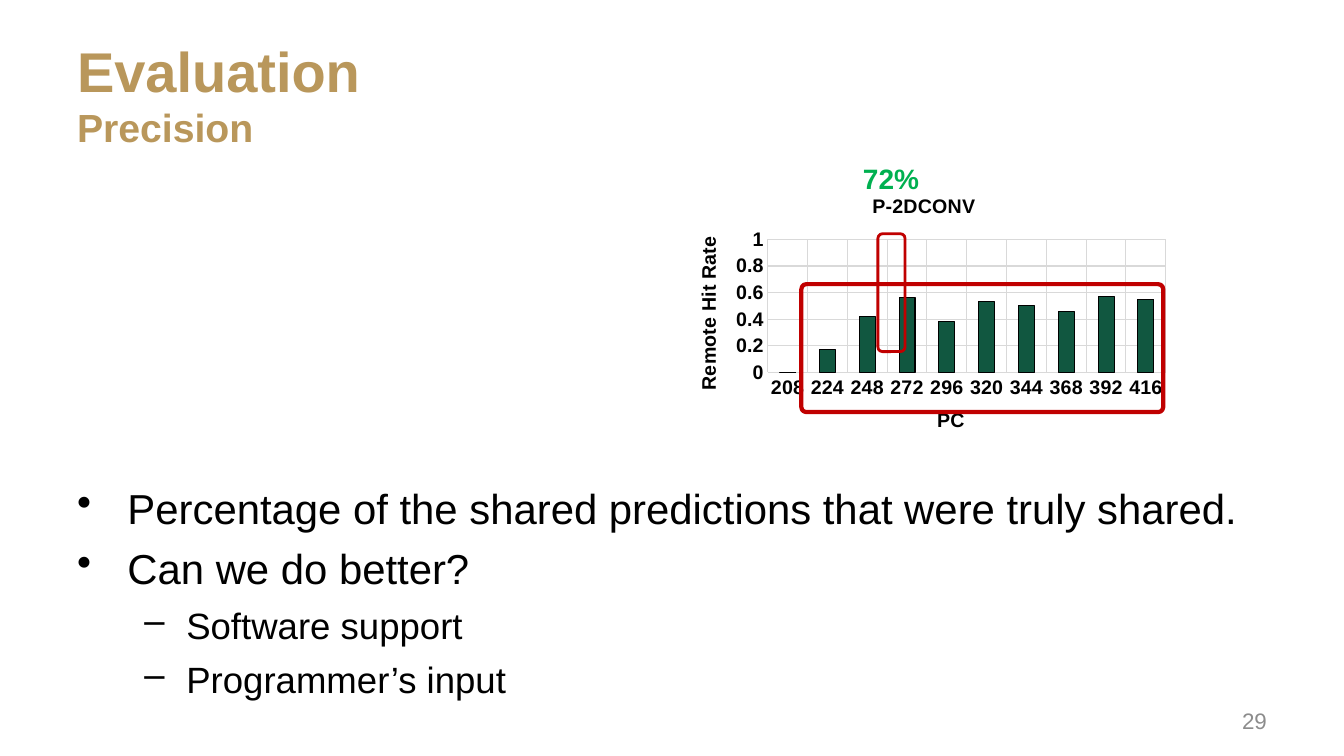
import pptx
import pptx.chart.data
import pptx.dml.color
import pptx.enum.chart
import pptx.enum.shapes
import pptx.enum.text
import pptx.oxml
import pptx.oxml.ns
import pptx.util

Pt = pptx.util.Pt
ALIGN = pptx.enum.text.PP_ALIGN
ANCHOR = pptx.enum.text.MSO_ANCHOR

FONT = "Arial"
COLORS = {
    "gold": "B9975B",
    "black": "000000",
    "gray": "8C8C8C",
    "green": "00B050",
    "red": "C00000",
    "bar": "115740",
    "grid": "D9D9D9",
}
HIT_RATES = {
    "208": 0, "224": 0.17, "248": 0.42, "272": 0.56, "296": 0.38,
    "320": 0.53, "344": 0.5, "368": 0.46, "392": 0.57, "416": 0.55,
}
PLOT_AREA = {"x": 0.19, "y": 0.22, "w": 0.79, "h": 0.48}


def rgb(color):
    return pptx.dml.color.RGBColor.from_string(COLORS[color])


def style_font(font, size, color="black", bold=False):
    font.name = FONT
    font.size = Pt(size)
    font.bold = bold
    font.color.rgb = rgb(color)


def write(paragraph, text, size, color="black", bold=False, align=ALIGN.LEFT):
    paragraph.alignment = align
    run = paragraph.add_run()
    run.text = text
    style_font(run.font, size, color, bold)


def add_text_frame(slide, left, top, width, height, anchor=ANCHOR.MIDDLE):
    frame = slide.shapes.add_textbox(Pt(left), Pt(top), Pt(width), Pt(height)).text_frame
    frame.word_wrap = True
    frame.vertical_anchor = anchor
    return frame


def add_heading(slide, heading, subheading):
    paragraph = add_text_frame(slide, 48, 21.6, 864, 90).paragraphs[0]
    write(paragraph, heading, 40, "gold", bold=True)
    paragraph.add_line_break()
    write(paragraph, subheading, 28, "gold", bold=True)


def add_bullets(slide, points):
    frame = add_text_frame(slide, 48, 341.3, 864, 141, ANCHOR.TOP)
    formats = [("•", 29.9, 36, -36), ("–", 26.1, 78, -30)]
    for index, (level, text) in enumerate(points):
        paragraph = frame.add_paragraph() if index else frame.paragraphs[0]
        mark, size, margin, indent = formats[level]
        write(paragraph, text, size)
        paragraph.level = level
        paragraph.space_before = Pt(7)
        properties = paragraph._p.get_or_add_pPr()
        properties.set("marL", str(Pt(margin)))
        properties.set("indent", str(Pt(indent)))
        bullet = pptx.oxml.parse_xml(
            f'<a:buChar {pptx.oxml.ns.nsdecls("a")} char="{mark}"/>')
        properties.append(bullet)


def add_highlight(slide, left, top, width, height, weight, rounding):
    highlight = slide.shapes.add_shape(
        pptx.enum.shapes.MSO_SHAPE.ROUNDED_RECTANGLE,
        Pt(left), Pt(top), Pt(width), Pt(height))
    highlight.adjustments[0] = rounding
    highlight.shadow.inherit = False
    highlight.fill.background()
    highlight.line.color.rgb = rgb("red")
    highlight.line.width = Pt(weight)


def style_axis(axis, title):
    write(axis.axis_title.text_frame.paragraphs[0], title, 14, bold=True, align=ALIGN.CENTER)
    style_font(axis.tick_labels.font, 14, bold=True)
    axis.major_tick_mark = pptx.enum.chart.XL_TICK_MARK.NONE
    axis.minor_tick_mark = pptx.enum.chart.XL_TICK_MARK.NONE
    axis.format.line.fill.background()
    axis.has_major_gridlines = True
    axis.major_gridlines.format.line.color.rgb = rgb("grid")
    axis.major_gridlines.format.line.width = Pt(0.75)


def place_plot_area(chart):
    plot_area = chart._chartSpace.chart.plotArea
    for layout in plot_area.findall(pptx.oxml.ns.qn("c:layout")):
        plot_area.remove(layout)
    modes = "".join(f'<c:{side}Mode val="edge"/>' for side in "xy")
    sizes = "".join(f'<c:{key} val="{value}"/>' for key, value in PLOT_AREA.items())
    plot_area.insert(0, pptx.oxml.parse_xml(
        f'<c:layout {pptx.oxml.ns.nsdecls("c")}><c:manualLayout>'
        f'<c:layoutTarget val="inner"/>{modes}{sizes}</c:manualLayout></c:layout>'))


def add_hit_rate_chart(slide):
    hit_data = pptx.chart.data.CategoryChartData()
    hit_data.categories = list(HIT_RATES)
    hit_data.add_series("P-2DCONV", list(HIT_RATES.values()))
    chart = slide.shapes.add_chart(
        pptx.enum.chart.XL_CHART_TYPE.COLUMN_CLUSTERED,
        Pt(480), Pt(127.5), Pt(360), Pt(198), hit_data).chart
    style_font(chart.font, 14, bold=True)
    chart.has_legend = False
    chart.has_title = True
    write(chart.chart_title.text_frame.paragraphs[0], "P-2DCONV", 14,
          bold=True, align=ALIGN.CENTER)
    chart.chart_title.include_in_layout = False
    style_axis(chart.category_axis, "PC")
    style_axis(chart.value_axis, "Remote Hit Rate")
    chart.value_axis.minimum_scale = 0
    chart.value_axis.maximum_scale = 1
    chart.value_axis.major_unit = 0.2
    chart.value_axis.tick_labels.number_format = "General"
    chart.value_axis.tick_labels.number_format_is_linked = False
    columns = chart.plots[0]
    columns.gap_width = 150
    columns.vary_by_categories = False
    hit_rates = columns.series[0]
    hit_rates.format.fill.solid()
    hit_rates.format.fill.fore_color.rgb = rgb("bar")
    hit_rates.format.line.color.rgb = rgb("black")
    hit_rates.format.line.width = Pt(0.75)
    place_plot_area(chart)


def add_average(slide, text):
    frame = add_text_frame(slide, 607.7, 116.6, 57.6, 21)
    frame.margin_left = frame.margin_right = 0
    write(frame.paragraphs[0], text, 20, "green", bold=True, align=ALIGN.CENTER)


def add_page_number(slide, number):
    frame = add_text_frame(slide, 688, 500.5, 224, 28.8)
    write(frame.paragraphs[0], number, 16, "gray", align=ALIGN.RIGHT)


def main():
    deck = pptx.Presentation()
    deck.slide_width = Pt(960)
    deck.slide_height = Pt(540)
    slide = deck.slides.add_slide(deck.slide_layouts[6])
    add_hit_rate_chart(slide)
    add_highlight(slide, 572.4, 203, 258.5, 91.4, weight=3, rounding=0.04)
    add_heading(slide, "Evaluation", "Precision")
    add_bullets(slide, [
        (0, "Percentage of the shared predictions that were truly shared."),
        (0, "Can we do better?"),
        (1, "Software support"),
        (1, "Programmer’s input"),
    ])
    add_page_number(slide, "29")
    add_average(slide, "72%")
    add_highlight(slide, 627.1, 167, 19.4, 84.2, weight=2, rounding=0.17)
    deck.save("out.pptx")


if __name__ == "__main__":
    main()
